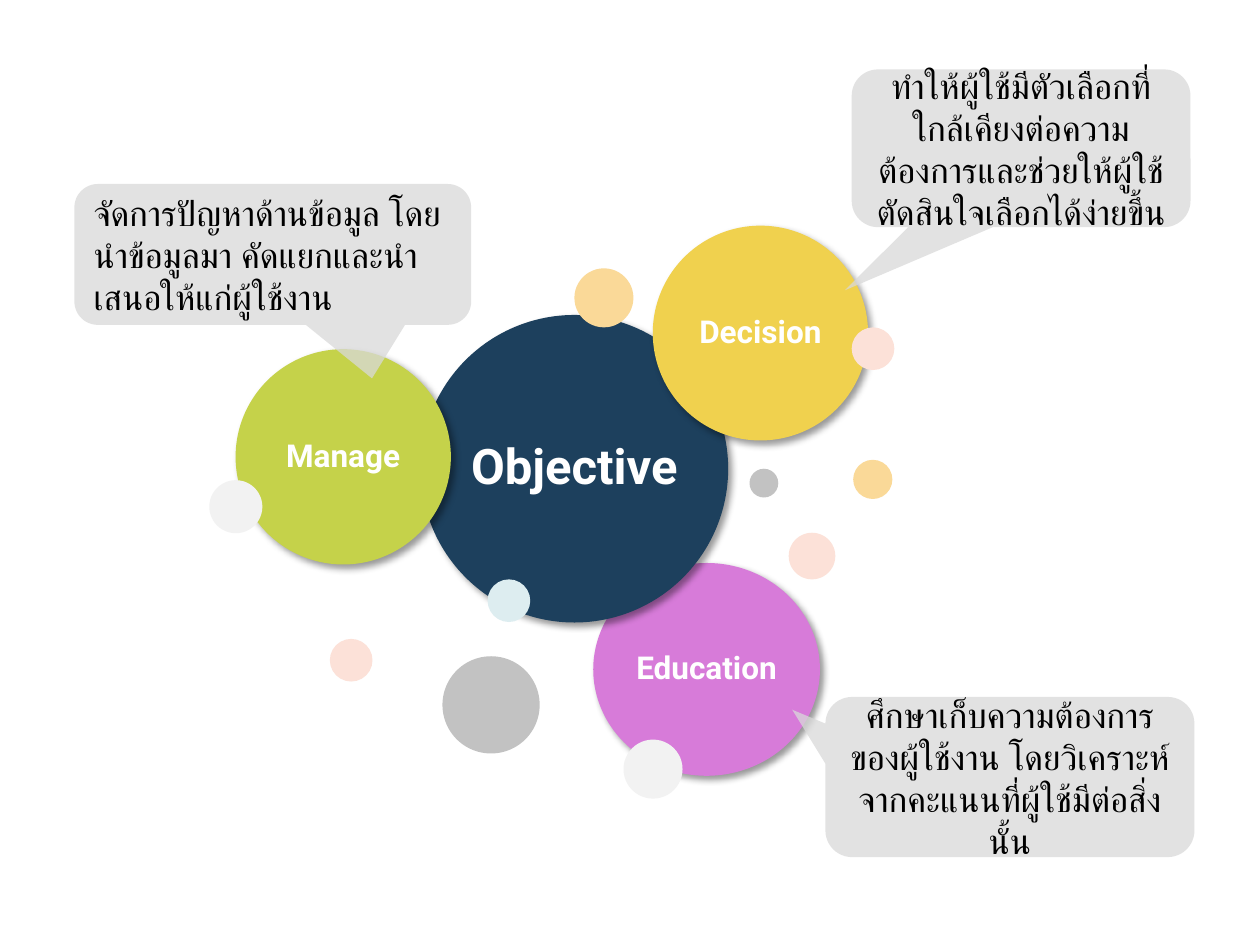
from lxml import etree
from pptx import Presentation
from pptx.dml.color import RGBColor
from pptx.enum.shapes import MSO_SHAPE
from pptx.enum.text import MSO_ANCHOR, PP_ALIGN
from pptx.oxml import parse_xml
from pptx.oxml.ns import nsdecls, qn
from pptx.util import Cm, Pt

WHITE = RGBColor(0xFF, 0xFF, 0xFF)
BLACK = RGBColor(0x00, 0x00, 0x00)
NAVY = RGBColor(0x1D, 0x40, 0x5D)
YELLOW = RGBColor(0xF0, 0xD1, 0x4E)
GREEN = RGBColor(0xC5, 0xD2, 0x4A)
ORCHID = RGBColor(0xD7, 0x7B, 0xD9)
PALE_GREY = RGBColor(0xF2, 0xF2, 0xF2)
MID_GREY = RGBColor(0xC2, 0xC2, 0xC2)
CALLOUT_GREY = RGBColor(0xD9, 0xD9, 0xD9)
PEACH = RGBColor(0xFC, 0xE1, 0xD8)
APRICOT = RGBColor(0xFA, 0xD9, 0x98)
ICE = RGBColor(0xDD, 0xED, 0xF0)

# Boxes are left, top, width, height in centimetres.
TOPICS = [
    ("Education", (11.96, 11.35, 4.57, 4.29), ORCHID, 18),
    ("Objective", (8.48, 6.35, 6.2, 6.2), NAVY, 28),
    ("Decision", (13.16, 4.55, 4.34, 4.33), YELLOW, 18),
    ("Manage", (4.75, 7.04, 4.34, 4.34), GREEN, 18),
]

# Left, top, diameter, colour.
BUBBLES = [
    (4.22, 9.68, 1.07, PALE_GREY),
    (17.17, 6.6, 0.86, PEACH),
    (15.11, 9.45, 0.58, MID_GREY),
    (12.57, 14.91, 1.19, PALE_GREY),
    (9.83, 11.68, 0.86, ICE),
    (11.58, 5.41, 1.19, APRICOT),
    (8.92, 13.23, 1.96, MID_GREY),
    (15.9, 10.74, 0.94, PEACH),
    (6.65, 12.88, 0.86, PEACH),
    (17.2, 9.27, 0.79, APRICOT),
]

# Text, box, pointer tip relative to the box centre, alignment.
CALLOUTS = [
    ("จัดการปัญหาด้านข้อมูล โดยนำข้อมูลมา คัดแยกและนำเสนอให้แก่ผู้ใช้งาน",
     (1.5, 3.71, 8, 2.84), (0.25, 0.88), PP_ALIGN.LEFT),
    ("ศึกษาเก็บความต้องการของผู้ใช้งาน โดยวิเคราะห์จากคะแนนที่ผู้ใช้มีต่อสิ่งนั้น",
     (16.64, 14.05, 7.44, 3.23), (-0.59, -0.42), PP_ALIGN.CENTER),
    ("ทำให้ผู้ใช้มีตัวเลือกที่ใกล้เคียงต่อความต้องการและช่วยให้ผู้ใช้ตัดสินใจเลือกได้ง่ายขึ้น",
     (17.17, 1.4, 6.83, 3.18), (-0.52, 0.9), PP_ALIGN.CENTER),
]


def add_filled_shape(slide, kind, box, color):
    shape = slide.shapes.add_shape(kind, *(Cm(length) for length in box))
    shape.shadow.inherit = False
    shape.fill.solid()
    shape.fill.fore_color.rgb = color
    shape.line.fill.background()
    return shape


def write_text(shape, text, *, font, size, color, bold=False,
               align=PP_ALIGN.CENTER, line_spacing=1.0, margin=None):
    frame = shape.text_frame
    frame.word_wrap = True
    frame.vertical_anchor = MSO_ANCHOR.MIDDLE
    if margin is not None:
        frame.margin_left = frame.margin_right = margin
        frame.margin_top = frame.margin_bottom = margin
    paragraph = frame.paragraphs[0]
    paragraph.alignment = align
    paragraph.line_spacing = line_spacing
    run = paragraph.add_run()
    run.text = text
    run.font.name = font
    run.font.size = Pt(size)
    run.font.bold = bold
    run.font.color.rgb = color
    complex_script = etree.SubElement(run.font._element, qn("a:cs"))
    complex_script.set("typeface", font)


def add_drop_shadow(shape):
    effects = shape._element.spPr.find(qn("a:effectLst"))
    effects.append(parse_xml(
        f'<a:outerShdw {nsdecls("a")} blurRad="{Pt(4)}" dist="{Pt(3)}" '
        'dir="2700000" algn="tl" rotWithShape="0">'
        '<a:srgbClr val="000000"><a:alpha val="40000"/></a:srgbClr>'
        '</a:outerShdw>'))


def set_opacity(shape, percent):
    color = shape._element.spPr.find(qn("a:solidFill"))[0]
    etree.SubElement(color, qn("a:alpha")).set("val", str(percent * 1000))


def add_topic(slide, name, box, color, size):
    circle = add_filled_shape(slide, MSO_SHAPE.OVAL, box, color)
    add_drop_shadow(circle)
    write_text(circle, name, font="Roboto", size=size, color=WHITE, bold=True,
               line_spacing=0.9, margin=0)


def add_bubble(slide, left, top, diameter, color):
    add_filled_shape(slide, MSO_SHAPE.OVAL, (left, top, diameter, diameter), color)


def add_callout(slide, text, box, tip, align):
    callout = add_filled_shape(
        slide, MSO_SHAPE.ROUNDED_RECTANGULAR_CALLOUT, box, CALLOUT_GREY)
    callout.adjustments[0], callout.adjustments[1] = tip
    set_opacity(callout, 75)
    write_text(callout, text, font="Lato", size=20, color=BLACK, align=align)


def main():
    presentation = Presentation()
    presentation.slide_width = Cm(25.4)
    presentation.slide_height = Cm(19.05)
    slide = presentation.slides.add_slide(presentation.slide_layouts[6])
    for topic in TOPICS:
        add_topic(slide, *topic)
    for bubble in BUBBLES:
        add_bubble(slide, *bubble)
    for callout in CALLOUTS:
        add_callout(slide, *callout)
    presentation.save("out.pptx")


if __name__ == "__main__":
    main()
